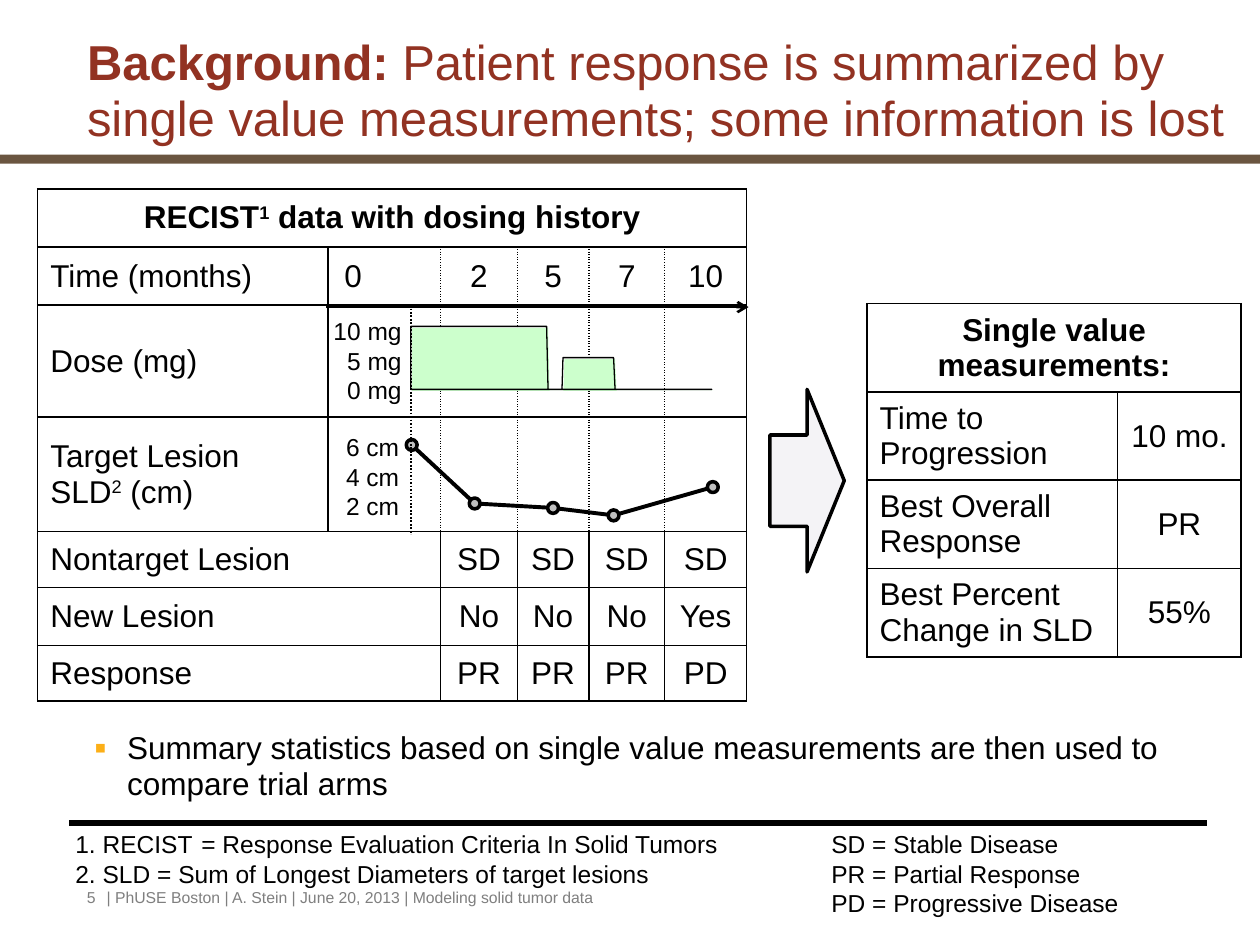
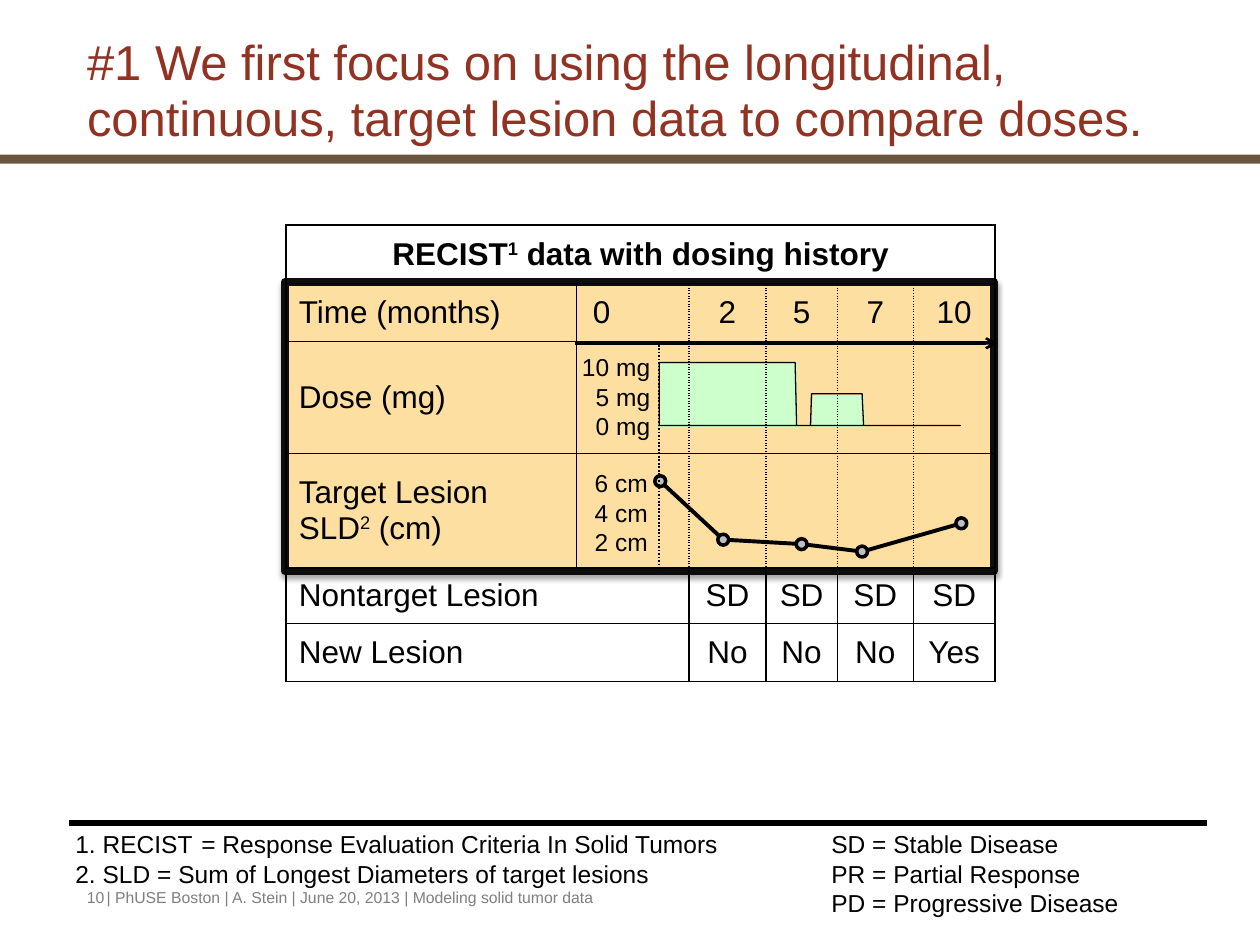
from dataclasses import dataclass

from lxml.etree import SubElement
from pptx import Presentation
from pptx.dml.color import RGBColor
from pptx.enum.dml import MSO_LINE
from pptx.enum.shapes import MSO_CONNECTOR, MSO_SHAPE
from pptx.enum.text import MSO_ANCHOR, MSO_AUTO_SIZE, PP_ALIGN
from pptx.oxml.ns import qn
from pptx.util import Cm, Pt


@dataclass(frozen=True)
class Theme:
    font = "Arial"
    head, text, note, foot = 28, 18, 14, 9
    ink = RGBColor.from_string("000000")
    red = RGBColor.from_string("923222")
    brown = RGBColor.from_string("6A5540")
    grey = RGBColor.from_string("7F7F7F")
    mint = RGBColor.from_string("CCFFCC")
    dot = RGBColor.from_string("BFBFBF")
    pale = RGBColor.from_string("F4F3F6")
    sand = RGBColor.from_string("FEDFA2")
    frame = RGBColor.from_string("0D0D0D")
    bullet = "FCAF17"


theme = Theme()


def write(par, text, size, color=theme.ink, bold=False):
    """Add text as runs; a piece between carets is raised."""
    for i, piece in enumerate(text.split("^")):
        run = par.add_run()
        run.text = piece
        font = run.font
        font.name, font.size, font.bold = theme.font, Pt(size), bold
        font.color.rgb = color
        if i % 2:
            run._r.get_or_add_rPr().set("baseline", "30000")


def grid(slide, left, top, cols, highs, rows, dotted=()):
    """Add a ruled table; None joins a cell to its left one, and
    the rows in dotted get dotted rules between their value cells."""
    frame = slide.shapes.add_table(
        len(rows), len(cols), Cm(left), Cm(top), Cm(sum(cols)), Cm(sum(highs)))
    table = frame.table
    table.first_row = table.horz_banding = False
    for col, width in zip(table.columns, cols):
        col.width = Cm(width)
    for row, high in zip(table.rows, highs):
        row.height = Cm(high)
    for r, row in enumerate(rows):
        for c, text in enumerate(row):
            cell = table.cell(r, c)
            props = cell._tc.get_or_add_tcPr()
            for side in "LRTB":
                line = SubElement(props, qn("a:ln" + side), w=str(Pt(1)))
                paint = SubElement(line, qn("a:solidFill"))
                SubElement(paint, qn("a:srgbClr"), val=str(theme.ink))
                dots = r in dotted and (
                    side == "L" and c > 1 or side == "R" and 0 < c < len(cols) - 1)
                SubElement(line, qn("a:prstDash"), val="sysDot" if dots else "solid")
            cell.fill.background()
            cell.vertical_anchor = MSO_ANCHOR.MIDDLE
            if text:
                par = cell.text_frame.paragraphs[0]
                par.alignment = PP_ALIGN.CENTER if r == 0 or c else PP_ALIGN.LEFT
                write(par, text, theme.text, bold=r == 0)
        if None in row:
            start = row.index(None) - 1
            table.cell(r, start).merge(table.cell(r, start + row.count(None)))
    return frame


cols = [5.85, 2.27, 1.55, 1.44, 1.53, 1.65]
highs = [1.17, 1.17, 2.26, 2.31, 1.12, 1.17, 1.12]
recist = [
    ["RECIST^1^ data with dosing history"] + [None] * 5,
    ["Time (months)", "0", "2", "5", "7", "10"],
    ["Dose (mg)"] + [""] * 5,
    ["Target Lesion SLD^2^ (cm)"] + [""] * 5,
    ["Nontarget Lesion", None, "SD", "SD", "SD", "SD"],
    ["New Lesion", None, "No", "No", "No", "Yes"],
    ["Response", None, "PR", "PR", "PR", "PD"],
]
single = [
    ["Single value measurements:", None],
    ["Time to Progression", "10 mo."],
    ["Best Overall Response", "PR"],
    ["Best Percent Change in SLD", "55%"],
]
# Dose and lesion points are measured from the corner of the table.
doses = [(7.52, 2.77), (10.26, 2.77), (10.29, 4.04), (10.57, 4.04), (10.59, 3.4),
         (11.61, 3.4), (11.64, 4.04), (13.59, 4.04), (7.52, 4.04), (7.52, 2.77)]
sizes = [(7.54, 5.16), (8.81, 6.34), (10.39, 6.43), (11.61, 6.58), (13.61, 6.01)]
notes = [
    ("1. RECIST\t= Response Evaluation Criteria In Solid Tumors\tSD = Stable Disease",
     (2.54, 15.24)),
    ("2. SLD = Sum of Longest Diameters of target lesions\tPR = Partial Response",
     (15.24,)),
    ("\tPD = Progressive Disease", (15.24,)),
]
pages = [
    ("5", [("Background: ", True),
           ("Patient response is summarized by single value measurements; "
            "some information is lost", False)], 0.76, 3.81, 7, False),
    ("10", [("#1 We first focus on using the longitudinal, continuous, "
             "target lesion data to compare doses.", False)], 5.77, 4.54, 6, True),
]

deck = Presentation()
deck.slide_width, deck.slide_height = Cm(25.4), Cm(19.05)

for number, title, left, top, count, focus in pages:
    slide = deck.slides.add_slide(deck.slide_layouts[5 if focus else 1])
    shapes = slide.shapes

    if not focus:
        # The band is shared, so it moves to the master.
        band = shapes.add_shape(MSO_SHAPE.RECTANGLE, 0, Cm(3.12), Cm(25.4), Cm(0.18))
        band.shadow.inherit = False
        band.fill.solid()
        band.fill.fore_color.rgb = theme.brown
        band.line.fill.background()
        deck.slide_master.shapes.element.append(band.element)

    head = shapes.title
    head.left, head.top, head.width, head.height = Cm(1.5), Cm(1.7), Cm(23.9), Cm(1.4)
    head.text_frame.auto_size = MSO_AUTO_SIZE.NONE
    head.text_frame.vertical_anchor = MSO_ANCHOR.BOTTOM
    par = head.text_frame.paragraphs[0]
    par.alignment, par.line_spacing = PP_ALIGN.LEFT, 0.95
    for text, bold in title:
        write(par, text, theme.head, theme.red, bold)

    if focus:
        box = shapes.add_shape(MSO_SHAPE.RECTANGLE, Cm(left - 0.03), Cm(top + 1.15),
                               Cm(14.3), Cm(5.82))
        box.fill.solid()
        box.fill.fore_color.rgb = theme.sand
        box.line.color.rgb, box.line.width = theme.frame, Pt(4.5)
        box.shadow.inherit = False
        cast = SubElement(box.element.spPr.find(qn("a:effectLst")), qn("a:outerShdw"),
                          blurRad=str(Pt(3.1)), dist=str(Pt(1.8)), dir="5400000")
        shade = SubElement(cast, qn("a:srgbClr"), val=str(theme.ink))
        SubElement(shade, qn("a:alpha"), val="35000")

    frame = grid(slide, left, top, cols, highs[:count], recist[:count], (1, 2, 3))
    zero = frame.table.cell(1, 1)
    zero.margin_left = Cm(0.33)
    zero.text_frame.paragraphs[0].alignment = PP_ALIGN.LEFT

    for x, y, width, labels in [
        (5.71, 2.44, 1.88, ["10 mg", "5 mg", "0 mg"]),
        (5.94, 4.78, 1.6, ["6 cm", "4 cm", "2 cm"]),
    ]:
        body = shapes.add_textbox(
            Cm(left + x), Cm(top + y), Cm(width), Cm(2.06)).text_frame
        body.word_wrap = False
        for i, label in enumerate(labels):
            par = body.add_paragraph() if i else body.paragraphs[0]
            par.alignment = PP_ALIGN.RIGHT
            write(par, label, theme.note)

    group = shapes.add_group_shape()
    for home, points, shift, fill, width in [
        (shapes, doses, 0.03, theme.mint, None),
        (shapes, doses, 0, None, 0),
        (group.shapes, sizes, 0, None, 2.25),
    ]:
        spots = [(Cm(left + x + shift), Cm(top + y + shift)) for x, y in points]
        pen = home.build_freeform(*spots[0])
        pen.add_line_segments(spots[1:], close=fill is not None)
        trace = pen.convert_to_shape()
        trace.shadow.inherit = False
        if fill is None:
            trace.fill.background()
            trace.line.color.rgb, trace.line.width = theme.ink, Pt(width)
        else:
            trace.fill.solid()
            trace.fill.fore_color.rgb = fill
            trace.line.fill.background()
    for x, y in sizes:
        dot = group.shapes.add_shape(MSO_SHAPE.OVAL, Cm(left + x - 0.11),
                                     Cm(top + y - 0.11), Cm(0.22), Cm(0.22))
        dot.shadow.inherit = False
        dot.fill.solid()
        dot.fill.fore_color.rgb = theme.dot
        dot.line.color.rgb, dot.line.width = theme.ink, Pt(2)
    shapes.element.append(group.element)

    for x1, y1, x2, y2, width, kind in [
        (1.4, 16.59, 24.33, 16.59, 3, "rule"),
        (left + 7.52, top + 2.41, left + 7.52, top + 6.96, 1, "dots"),
        (left + 5.82, top + 2.38, left + 14.33, top + 2.38, 1.5, "arrow"),
    ]:
        line = shapes.add_connector(MSO_CONNECTOR.STRAIGHT, Cm(x1), Cm(y1), Cm(x2), Cm(y2))
        line.line.color.rgb, line.line.width = theme.ink, Pt(width)
        props = line.element.spPr
        if kind == "dots":
            line.line.dash_style = MSO_LINE.ROUND_DOT
        if kind == "arrow":
            SubElement(props.find(qn("a:ln")), qn("a:tailEnd"), type="arrow")
        SubElement(props, qn("a:effectLst"))

    for x, y, width, high, size, color, lines in [
        (1.27, 16.59, 22.28, 2.06, theme.note, theme.ink, notes),
        (1.5, 17.78, 1.12, 0.69, theme.foot, theme.grey, [(number, ())]),
        (1.9, 17.78, 17.98, 0.69, theme.foot, theme.grey,
         [("| PhUSE Boston | A. Stein | June 20, 2013 | Modeling solid tumor data", ())]),
    ]:
        body = shapes.add_textbox(Cm(x), Cm(y), Cm(width), Cm(high)).text_frame
        body.word_wrap = True
        for i, (text, stops) in enumerate(lines):
            par = body.add_paragraph() if i else body.paragraphs[0]
            if stops:
                tabs = SubElement(par._p.get_or_add_pPr(), qn("a:tabLst"))
                for stop in stops:
                    SubElement(tabs, qn("a:tab"), pos=str(Cm(stop)), algn="l")
            write(par, text, size, color)

    if focus:
        # The rules of the table run over the dose blocks here.
        shapes.element.append(frame.element)
        continue

    grid(slide, 17.48, 6.12, [5.05, 2.49], [1.78] * 4, single)
    arrow = shapes.add_shape(MSO_SHAPE.RIGHT_ARROW, Cm(15.52), Cm(7.85), Cm(1.5), Cm(3.68))
    arrow.shadow.inherit = False
    arrow.fill.solid()
    arrow.fill.fore_color.rgb = theme.pale
    arrow.line.color.rgb, arrow.line.width = theme.ink, Pt(2)

    list_box = slide.placeholders[1]
    list_box.left, list_box.top = Cm(1.65), Cm(14.6)
    list_box.width, list_box.height = Cm(22.71), Cm(1.12)
    list_box.text_frame.auto_size = MSO_AUTO_SIZE.NONE
    par = list_box.text_frame.paragraphs[0]
    props = par._p.get_or_add_pPr()
    props.set("marL", str(Cm(0.66)))
    props.set("indent", str(Cm(-0.66)))
    SubElement(SubElement(props, qn("a:buClr")), qn("a:srgbClr"), val=theme.bullet)
    SubElement(props, qn("a:buSzPct"), val="110000")
    SubElement(props, qn("a:buFont"), typeface=theme.font)
    SubElement(props, qn("a:buChar"), char="▪")
    par.line_spacing, par.space_before = 0.95, Pt(0)
    write(par, "Summary statistics based on single value measurements are then used "
               "to compare trial arms", theme.text)

deck.save("out.pptx")
